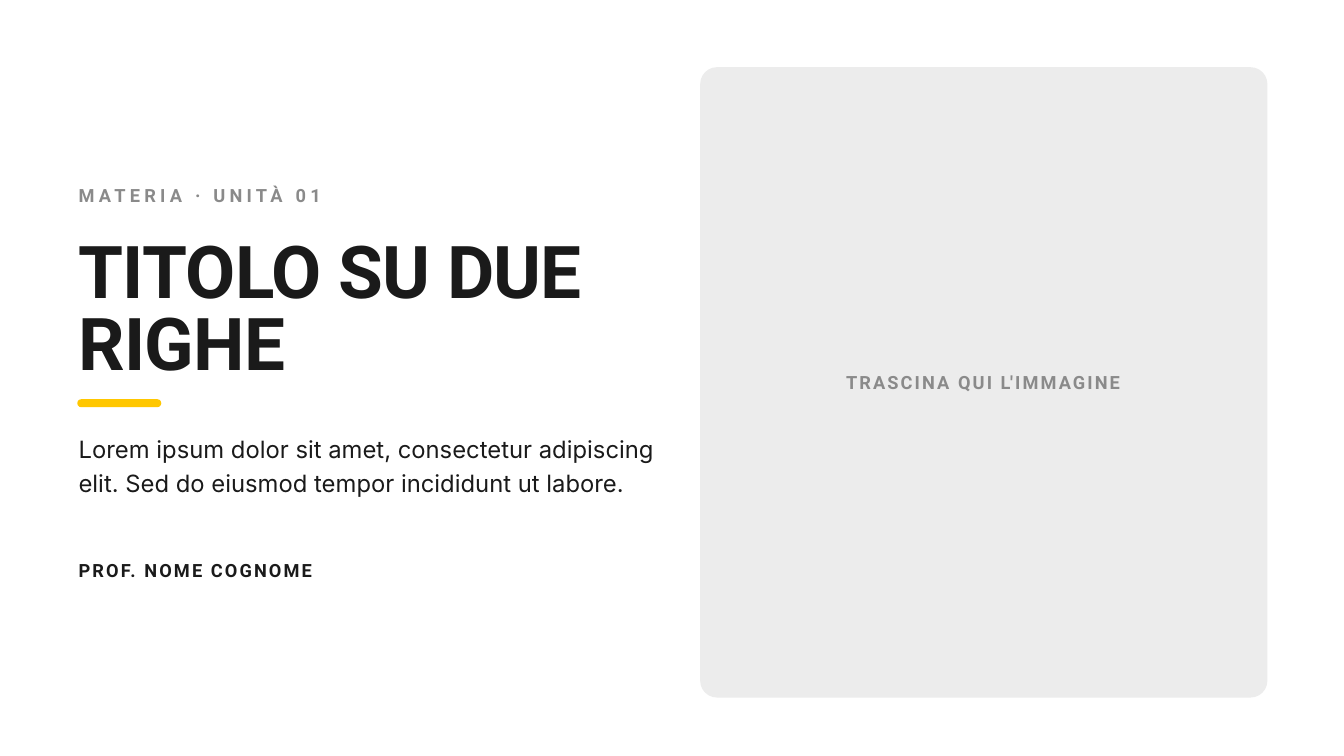
from pptx import Presentation
from pptx.dml.color import RGBColor
from pptx.enum.shapes import MSO_SHAPE
from pptx.enum.text import MSO_ANCHOR, MSO_AUTO_SIZE, PP_ALIGN
from pptx.util import Inches, Pt

ROUNDED = MSO_SHAPE.ROUNDED_RECTANGLE
TOP = MSO_ANCHOR.TOP
LEFT = PP_ALIGN.LEFT
NO_AUTOFIT = MSO_AUTO_SIZE.NONE

# Theme: colours and type styles (sizes, leading and tracking in points)
THEME = {
    "colors": {"ink": "1A1A1A", "muted": "8A8A8A", "accent": "FFC700",
               "panel": "ECECEC", "background": "FFFFFF"},
    "styles": {
        "eyebrow": dict(font="Roboto", size=19.5, leading=23.4, bold=True, color="muted", tracking=4.5),
        "title": dict(font="Roboto", size=78, leading=77.9, bold=True, color="ink", tracking=-0.8),
        "body": dict(font="Inter", size=25.5, leading=36.8, bold=False, color="ink", tracking=0),
        "author": dict(font="Roboto", size=19.5, leading=23.4, bold=True, color="ink", tracking=2.2),
        "hint": dict(font="Roboto", size=19.5, leading=23.4, bold=True, color="muted", tracking=2.2),
    },
}

# Content: style, text, (left, top, width, height) in inches
MARGIN = 1.17
TEXTS = [
    ("eyebrow", "MATERIA · UNITÀ 01", (MARGIN, 2.75, 9.23, 0.33)),
    ("title", "TITOLO SU DUE RIGHE", (MARGIN, 3.57, 8.64, 2.03)),
    ("body", "Lorem ipsum dolor sit amet, consectetur adipiscing elit. "
             "Sed do eiusmod tempor incididunt ut labore.", (MARGIN, 6.38, 8.64, 1.59)),
    ("author", "PROF. NOME COGNOME", (MARGIN, 8.32, 9.23, 0.33)),
    ("hint", "TRASCINA QUI L'IMMAGINE", (12.59, 5.53, 4.5, 0.33)),
]
# Rounded blocks: colour, box, corner radius
BLOCKS = [
    ("accent", (1.15, 5.94, 1.25, 0.12), 0.06),
    ("panel", (10.42, 1, 8.44, 9.38), 0.25),
]


def theme_color(name):
    return RGBColor.from_string(THEME["colors"][name])


def add_block(slide, color, box, radius):
    shape = slide.shapes.add_shape(ROUNDED, *map(Inches, box))
    shape.adjustments[0] = radius / min(box[2:])
    shape.shadow.inherit = False
    shape.fill.solid()
    shape.fill.fore_color.rgb = theme_color(color)
    shape.line.fill.background()


def write_text(shape, text, style):
    frame = shape.text_frame
    frame.word_wrap = True
    frame.auto_size = NO_AUTOFIT
    frame.vertical_anchor = TOP
    frame.margin_left = frame.margin_top = frame.margin_right = frame.margin_bottom = 0
    paragraph = frame.paragraphs[0]
    paragraph.alignment = LEFT
    paragraph.line_spacing = Pt(style["leading"])
    run = paragraph.add_run()
    run.text = text
    run.font.name = style["font"]
    run.font.size = Pt(style["size"])
    run.font.bold = style["bold"]
    run.font.color.rgb = theme_color(style["color"])
    run.font._element.set("spc", str(round(style["tracking"] * 100)))


def main():
    presentation = Presentation()
    presentation.slide_width = Inches(20)
    presentation.slide_height = Inches(11.25)
    slide = presentation.slides.add_slide(presentation.slide_layouts[5])
    slide.background.fill.solid()
    slide.background.fill.fore_color.rgb = theme_color("background")

    # Accent bar and image panel
    for color, box, radius in BLOCKS:
        add_block(slide, color, box, radius)

    # Title placeholder and text boxes
    for name, text, box in TEXTS:
        left, top, width, height = map(Inches, box)
        if name == "title":
            shape = slide.shapes.title
            shape.left, shape.top, shape.width, shape.height = left, top, width, height
        else:
            shape = slide.shapes.add_textbox(left, top, width, height)
        write_text(shape, text, THEME["styles"][name])

    presentation.save("out.pptx")


if __name__ == "__main__":
    main()
